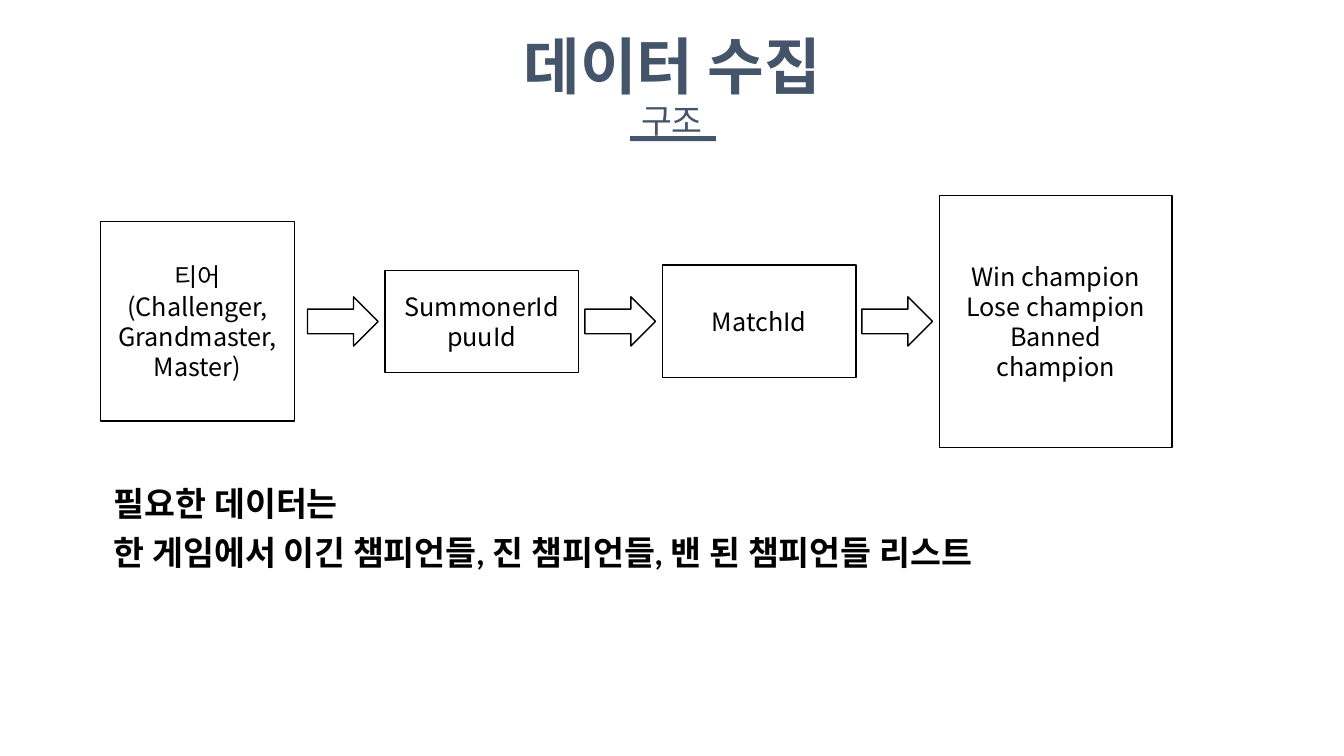
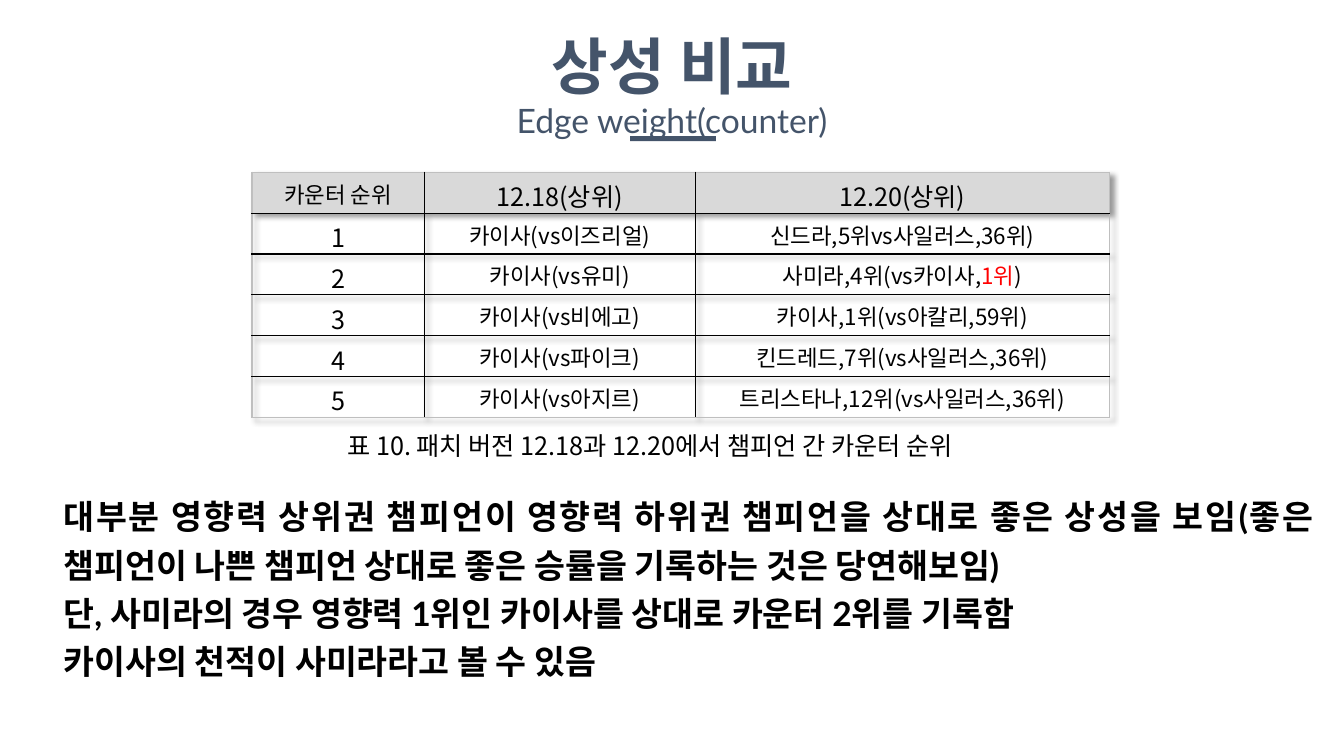
from lxml import etree
from pptx import Presentation
from pptx.dml.color import RGBColor
from pptx.enum.shapes import MSO_SHAPE
from pptx.enum.text import MSO_ANCHOR, PP_ALIGN
from pptx.oxml.ns import qn
from pptx.util import Cm, Pt

RECTANGLE, RIGHT_ARROW = MSO_SHAPE.RECTANGLE, MSO_SHAPE.RIGHT_ARROW
CENTER, JUSTIFY = PP_ALIGN.CENTER, PP_ALIGN.JUSTIFY
TOP, MIDDLE = MSO_ANCHOR.TOP, MSO_ANCHOR.MIDDLE

LATO, NOTO = "Lato", "Noto Sans CJK KR"
NAVY, BLACK, WHITE = "44546A", "000000", "FFFFFF"
HEADER_GRAY, EDGE_GRAY, RED = "D9D9D9", "BFBFBF", "FF0000"
NO_TABLE_STYLE = "{2D5ABB26-0587-4C30-8999-92F81FD0307C}"

COLLECTION = {
    "title": "데이터 수집",
    "subtitle": "구조",
    "notes": [
        "필요한 데이터는",
        "한 게임에서 이긴 챔피언들, 진 챔피언들, 밴 된 챔피언들 리스트",
    ],
    "notes_box": (2.54, 11.79, 28.68, 5.33),
}
STEPS = [
    (2.54, 4.88, 5.03, ["티어", "(Challenger,", "Grandmaster,", "Master)"]),
    (9.7, 4.88, 2.57, ["SummonerId", "puuId"]),
    (16.69, 4.88, 2.84, ["MatchId"]),
    (23.67, 5.87, 6.35, ["Win champion", "Lose champion", "Banned champion"]),
]
FLOW_MIDDLE = 8.1
ARROW_WIDTH, ARROW_HEIGHT, ARROW_GAP = 1.78, 1.24, 0.17

MATCHUP = {
    "title": "상성 비교",
    "subtitle": "Edge weight(counter)",
    "notes": [
        "대부분 영향력 상위권 챔피언이 영향력 하위권 챔피언을 상대로 좋은 상성을 보임"
        "(좋은 챔피언이 나쁜 챔피언 상대로 좋은 승률을 기록하는 것은 당연해보임)",
        "단, 사미라의 경우 영향력 1위인 카이사를 상대로 카운터 2위를 기록함",
        "카이사의 천적이 사미라라고 볼 수 있음",
    ],
    "notes_box": (1.27, 12.12, 32.36, 5.82),
}
RANKING_HEADER = ("카운터 순위", "12.18(상위)", "12.20(상위)")
COUNTERS = [
    ("카이사(vs이즈리얼)", "신드라,5위vs사일러스,36위)"),
    ("카이사(vs유미)", ("사미라,4위(vs카이사,", "1위", ")")),
    ("카이사(vs비에고)", "카이사,1위(vs아칼리,59위)"),
    ("카이사(vs파이크)", "킨드레드,7위(vs사일러스,36위)"),
    ("카이사(vs아지르)", "트리스타나,12위(vs사일러스,36위)"),
]
COLUMN_WIDTHS = (4.34, 6.83, 10.44)
ROW_HEIGHT = 1.03
CAPTION = "표 10. 패치 버전 12.18과 12.20에서 챔피언 간 카운터 순위"


def rgb(color):
    return RGBColor.from_string(color)


def style_run(run, size, font, color, bold=False):
    run.font.size = Pt(size)
    run.font.name = font
    run.font.bold = bold
    run.font.color.rgb = rgb(color)
    east_asian = etree.SubElement(run.font._element, qn("a:ea"))
    east_asian.set("typeface", NOTO)


def write(frame, lines, size, font, color, bold=False, align=CENTER, spacing=None):
    frame.text = "\n".join(lines)
    frame.word_wrap = True
    for paragraph in frame.paragraphs:
        paragraph.alignment = align
        paragraph.line_spacing = spacing
        for run in paragraph.runs:
            style_run(run, size, font, color, bold)


def add_text(slide, box, lines, size, font, color, margins=(0.25, 0.13, 0.25, 0.13), **layout):
    frame = slide.shapes.add_textbox(*map(Cm, box)).text_frame
    frame.margin_left, frame.margin_top, frame.margin_right, frame.margin_bottom = map(Cm, margins)
    write(frame, lines, size, font, color, **layout)
    return frame


def add_figure(slide, kind, box, fill=None, line=None):
    figure = slide.shapes.add_shape(kind, *map(Cm, box))
    figure.shadow.inherit = False
    if fill:
        figure.fill.solid()
        figure.fill.fore_color.rgb = rgb(fill)
    else:
        figure.fill.background()
    if line:
        figure.line.color.rgb = rgb(line)
        figure.line.width = Pt(1)
    else:
        figure.line.fill.background()
    return figure


def add_page(deck, content):
    slide = deck.slides.add_slide(deck.slide_layouts[6])
    add_text(slide, (8.36, 0.66, 17.17, 2.01), [content["title"]], 44, LATO, NAVY,
             margins=(0.13, 0.05, 0.13, 0.05), bold=True)
    add_figure(slide, RECTANGLE, (15.88, 3.43, 2.16, 0.13), fill=NAVY)
    subtitle = add_text(slide, (0.74, 2.01, 32.39, 2.34), [content["subtitle"]], 24, LATO, NAVY,
                        margins=(0.61, 0.3, 0.61, 0.3), spacing=1.2)
    subtitle.paragraphs[0].space_before = Pt(4.8)
    add_text(slide, content["notes_box"], content["notes"], 24, LATO, BLACK,
             margins=(0.33, 0.18, 0.53, 0.13), bold=True, align=JUSTIFY, spacing=1.2)
    return slide


def add_flow(slide):
    for index, (left, width, height, lines) in enumerate(STEPS):
        step = add_figure(slide, RECTANGLE, (left, FLOW_MIDDLE - height / 2, width, height),
                          WHITE, BLACK)
        step.text_frame.vertical_anchor = MIDDLE
        write(step.text_frame, lines, 18, NOTO, BLACK)
        if index:
            arrow_left = left - ARROW_GAP - ARROW_WIDTH
            add_figure(slide, RIGHT_ARROW,
                       (arrow_left, FLOW_MIDDLE - ARROW_HEIGHT / 2, ARROW_WIDTH, ARROW_HEIGHT),
                       line=BLACK)


def solid_fill(parent, color):
    fill = etree.SubElement(parent, qn("a:solidFill"))
    return etree.SubElement(fill, qn("a:srgbClr"), val=color)


def add_borders(cell, outer_sides):
    properties = cell._tc.get_or_add_tcPr()
    for position, side in enumerate(("lnL", "lnR", "lnT", "lnB")):
        border = etree.Element(qn(f"a:{side}"), w=str(Pt(1)))
        solid_fill(border, EDGE_GRAY if side in outer_sides else BLACK)
        properties.insert(position, border)


def add_table_shadow(table):
    properties = table._tbl.tblPr
    effects = etree.Element(qn("a:effectLst"))
    shadow = etree.SubElement(effects, qn("a:outerShdw"), blurRad=str(Pt(4)), dist=str(Pt(3)),
                              dir="2700000", algn="tl", rotWithShape="0")
    color = etree.SubElement(shadow, qn("a:srgbClr"), val=BLACK)
    etree.SubElement(color, qn("a:alpha"), val="40000")
    properties.insert(0, effects)
    properties.find(qn("a:tableStyleId")).text = NO_TABLE_STYLE


def add_ranking(slide):
    rows = [RANKING_HEADER] + [(str(rank), *pair) for rank, pair in enumerate(COUNTERS, 1)]
    last_row, last_column = len(rows) - 1, len(COLUMN_WIDTHS) - 1
    table = slide.shapes.add_table(
        len(rows), len(COLUMN_WIDTHS), Cm(6.35), Cm(4.34),
        Cm(sum(COLUMN_WIDTHS)), Cm(ROW_HEIGHT * len(rows))).table
    add_table_shadow(table)
    for column, width in zip(table.columns, COLUMN_WIDTHS):
        column.width = Cm(width)
    for r, values in enumerate(rows):
        table.rows[r].height = Cm(ROW_HEIGHT)
        for c, value in enumerate(values):
            cell = table.cell(r, c)
            cell.vertical_anchor = TOP
            cell.margin_bottom = 0
            if r == 0:
                cell.fill.solid()
                cell.fill.fore_color.rgb = rgb(HEADER_GRAY)
            else:
                cell.fill.background()
            edges = {"lnL": c == 0, "lnR": c == last_column, "lnT": r == 0, "lnB": r == last_row}
            add_borders(cell, [side for side, is_outer in edges.items() if is_outer])
            size = 18 if (r == 0) != (c == 0) else 16
            pieces = (value,) if isinstance(value, str) else value
            write(cell.text_frame, pieces[:1], size, NOTO, BLACK)
            for piece, color in zip(pieces[1:], (RED, BLACK)):
                run = cell.text_frame.paragraphs[0].add_run()
                run.text = piece
                style_run(run, size, NOTO, color)


def main():
    deck = Presentation()
    deck.slide_width, deck.slide_height = Cm(33.87), Cm(19.05)
    add_flow(add_page(deck, COLLECTION))
    matchup = add_page(deck, MATCHUP)
    add_ranking(matchup)
    add_text(matchup, (3.28, 10.72, 26.21, 1.02), [CAPTION], 18, NOTO, BLACK)
    deck.save("out.pptx")


if __name__ == "__main__":
    main()
